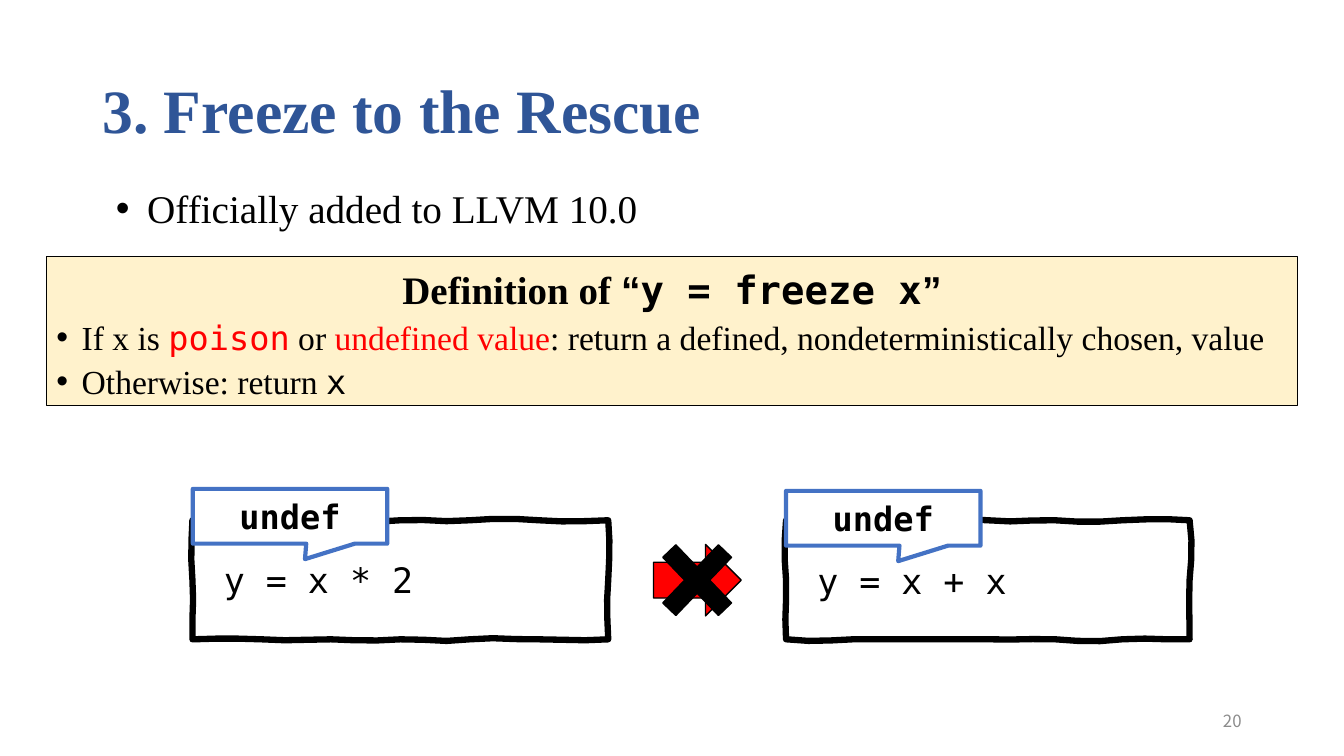
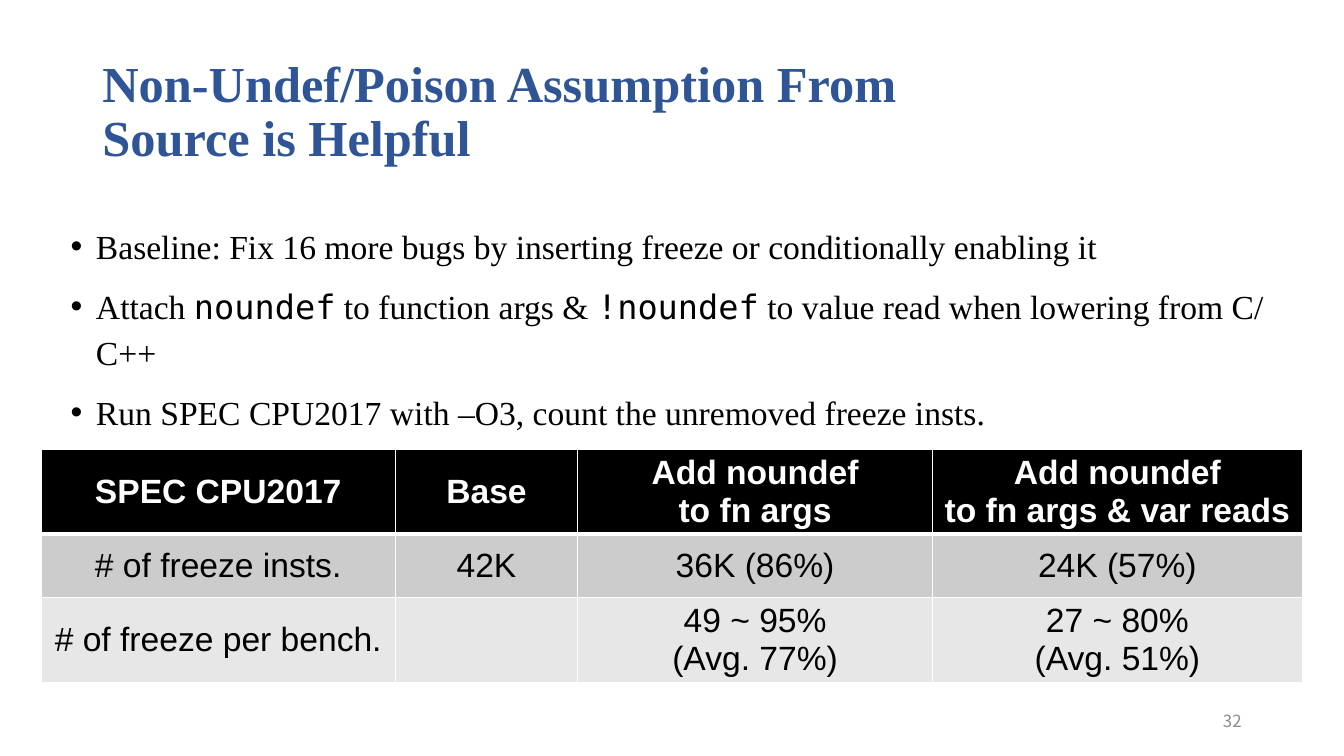
import dataclasses

import lxml.etree
import pptx
import pptx.dml.color
import pptx.enum.shapes
import pptx.enum.text
import pptx.oxml
import pptx.oxml.ns
import pptx.util

Cm = pptx.util.Cm
Pt = pptx.util.Pt
SHAPE = pptx.enum.shapes.MSO_SHAPE
ALIGN = pptx.enum.text.PP_ALIGN
ANCHOR = pptx.enum.text.MSO_ANCHOR
qn = pptx.oxml.ns.qn


@dataclasses.dataclass(frozen=True)
class Theme:
    serif: str = "Times New Roman"
    sans: str = "Arial"
    mono: str = "DejaVu Sans Mono"
    number_font: str = "Noto Sans CJK KR"
    title: str = "2F5597"
    ink: str = "000000"
    paper: str = "FFFFFF"
    alert: str = "FF0000"
    callout: str = "4472C4"
    definition: str = "FFF2CC"
    number: str = "8C8C8C"
    table_rows: tuple = ("000000", "CCCCCC", "E7E7E7")
    title_size: float = 44
    long_title_size: float = 36
    lead_size: float = 28
    heading_size: float = 27.8
    code_size: float = 25
    body_size: float = 24
    number_size: float = 12


THEME = Theme()

# Bulge of each span of a hand-drawn outline, in hundredths of an inch:
# top, right, bottom and left edge, clockwise.
LEFT_SKETCH = (
    ((-2, -3), (3, 0), (0, 3), (-2, 3), (-2, -2), (2, 1)),
    ((2, 1), (-2, -1)),
    ((2, 0), (1, -3), (4, -1), (2, 1), (0, 2), (-1, -1)),
    ((-1, 2), (-2, -1)),
)
RIGHT_SKETCH = (
    ((3, 3), (-2, -1), (1, -3), (3, -1), (2, 2), (-1, -2)),
    ((3, 2), (-1, 0)),
    ((1, -2), (3, 2), (-1, 1), (0, 0), (0, 0), (1, 3)),
    ((-2, 1), (-2, -2)),
)


def rgb(value):
    return pptx.dml.color.RGBColor.from_string(value)


def style_font(font, name=None, size=None, color=None, bold=None):
    if name:
        font.name = name
    if size:
        font.size = Pt(size)
    if color:
        font.color.rgb = rgb(color)
    if bold is not None:
        font.bold = bold


def add_bullet(paragraph, indent):
    properties = paragraph._p.get_or_add_pPr()
    properties.set("marL", str(Cm(indent)))
    properties.set("indent", str(-Cm(indent)))
    typeface = lxml.etree.SubElement(properties, qn("a:buFont"))
    typeface.set("typeface", THEME.sans)
    lxml.etree.SubElement(properties, qn("a:buChar")).set("char", "•")


def write_paragraph(frame, content, name, size, color=THEME.ink, bold=False,
                    align=ALIGN.LEFT, spacing=None, before=0, indent=None):
    """Add a paragraph; content is a string or (text, font overrides) pairs."""
    paragraph = frame.paragraphs[0]
    if paragraph.runs:
        paragraph = frame.add_paragraph()
        if before:
            paragraph.space_before = Pt(before)
    if indent:
        add_bullet(paragraph, indent)
    paragraph.alignment = align
    if spacing:
        paragraph.line_spacing = spacing
    style_font(paragraph.font, name, size, color, bold)
    if isinstance(content, str):
        paragraph.text = content
        return
    for text, overrides in content:
        if text == "\v":
            paragraph.add_line_break()
            continue
        run = paragraph.add_run()
        run.text = text
        style_font(run.font, **overrides)


def add_textbox(slide, left, top, width, height, anchor=ANCHOR.TOP, wrap=True):
    frame = slide.shapes.add_textbox(
        Cm(left), Cm(top), Cm(width), Cm(height)).text_frame
    frame.word_wrap = wrap
    frame.vertical_anchor = anchor
    return frame


def paint(shape, fill, line, line_width):
    shape.shadow.inherit = False
    if fill:
        shape.fill.solid()
        shape.fill.fore_color.rgb = rgb(fill)
    else:
        shape.fill.background()
    shape.line.color.rgb = rgb(line)
    shape.line.width = Pt(line_width)


def add_preset(slide, kind, left, top, width, height, fill, line=THEME.ink,
               line_width=1, adjustments=()):
    shape = slide.shapes.add_shape(
        kind, Cm(left), Cm(top), Cm(width), Cm(height))
    for index, value in enumerate(adjustments):
        shape.adjustments[index] = value
    paint(shape, fill, line, line_width)
    return shape


def sketch_points(left, top, width, height, edges, steps=3):
    """Trace a rectangle whose edges bulge as cubic curves."""
    corners = ((left, top), (left + width, top),
               (left + width, top + height), (left, top + height))
    points = []
    for index, spans in enumerate(edges):
        x0, y0 = corners[index]
        x1, y1 = corners[(index + 1) % 4]
        for span, (first, second) in enumerate(spans):
            for step in range(steps):
                t = step / steps
                along = (span + t) / len(spans)
                bulge = 3 * t * (1 - t) * (first * (1 - t) + second * t)
                offset = bulge * 0.0254
                x, y = x0 + (x1 - x0) * along, y0 + (y1 - y0) * along
                if index % 2:
                    x += offset
                else:
                    y += offset
                points.append((Cm(x), Cm(y)))
    return points


def add_code_box(slide, left, width, edges, code):
    start, *rest = sketch_points(left, 13.11, width, 3, edges)
    builder = slide.shapes.build_freeform(*start)
    builder.add_line_segments(rest, close=True)
    box = builder.convert_to_shape()
    paint(box, None, THEME.ink, 4.5)
    frame = box.text_frame
    frame.word_wrap = True
    frame.margin_left = Cm(0.82)
    frame.vertical_anchor = ANCHOR.MIDDLE
    write_paragraph(frame, code, THEME.mono, THEME.code_size)


def add_undef_callout(slide, left, top):
    callout = add_preset(slide, SHAPE.RECTANGULAR_CALLOUT, left, top, 4.9, 1.38,
                         THEME.paper, THEME.callout, 3, (0.077, 0.783))
    callout.text_frame.vertical_anchor = ANCHOR.MIDDLE
    write_paragraph(callout.text_frame, "undef", THEME.mono, THEME.body_size,
                    bold=True, align=ALIGN.CENTER)


def add_slide(deck, title, number, title_size):
    slide = deck.slides.add_slide(deck.slide_layouts[6])
    write_paragraph(add_textbox(slide, 2.33, 1.02, 29.21, 3.68, ANCHOR.MIDDLE),
                    title, THEME.serif, title_size, THEME.title, True,
                    spacing=0.9)
    write_paragraph(add_textbox(slide, 23.92, 17.65, 7.62, 1.02, ANCHOR.MIDDLE),
                    str(number), THEME.number_font, THEME.number_size,
                    THEME.number, align=ALIGN.RIGHT)
    return slide


def set_borders(cell, widths):
    properties = cell._tc.get_or_add_tcPr()
    for side, width in zip("LRTB", widths):
        line = lxml.etree.SubElement(properties, qn(f"a:ln{side}"))
        line.set("w", str(Pt(width)))
        fill = lxml.etree.SubElement(line, qn("a:solidFill"))
        lxml.etree.SubElement(fill, qn("a:srgbClr")).set("val", THEME.paper)


def add_table(slide, left, top, column_widths, row_heights, rows):
    table = slide.shapes.add_table(
        len(rows), len(column_widths), Cm(left), Cm(top),
        Cm(sum(column_widths)), Cm(sum(row_heights))).table
    table.horz_banding = False
    for column, width in zip(table.columns, column_widths):
        column.width = Cm(width)
    for row, height in zip(table.rows, row_heights):
        row.height = Cm(height)
    for row_index, texts in enumerate(rows):
        header = row_index == 0
        borders = (1, 1, 3 if row_index == 1 else 1, 3 if header else 1)
        for column_index, text in enumerate(texts):
            cell = table.cell(row_index, column_index)
            set_borders(cell, borders)
            cell.fill.solid()
            cell.fill.fore_color.rgb = rgb(THEME.table_rows[row_index])
            cell.vertical_anchor = ANCHOR.MIDDLE
            cell.margin_top = cell.margin_bottom = Cm(0.04)
            for line in text.split("\n"):
                write_paragraph(cell.text_frame, line, THEME.sans,
                                THEME.body_size,
                                THEME.paper if header else THEME.ink,
                                header, ALIGN.CENTER)


def add_definition(slide):
    box = add_preset(slide, SHAPE.RECTANGLE, 1.17, 6.46, 31.53, 3.76,
                     THEME.definition, line_width=0.75)
    frame = box.text_frame
    frame.word_wrap = True
    frame.vertical_anchor = ANCHOR.TOP
    sans, mono = {"name": THEME.sans}, {"name": THEME.mono}
    alert = {"color": THEME.alert}
    write_paragraph(
        frame,
        [("Definition of ", {}), ("“", sans), ("y = freeze x", mono), ("”", sans)],
        THEME.serif, THEME.heading_size, bold=True, align=ALIGN.CENTER,
        spacing=1.1)
    rules = (
        [("If x is ", {}), ("poison", {**mono, **alert}), (" or ", {}),
         ("undefined value", alert),
         (": return a defined, nondeterministically chosen, value", {})],
        [("Otherwise: return ", {}), ("x", mono)],
    )
    for rule in rules:
        write_paragraph(frame, rule, THEME.serif, THEME.body_size,
                        spacing=1.1, indent=0.64)


def build_freeze_slide(deck):
    slide = add_slide(deck, "3. Freeze to the Rescue", 20, THEME.title_size)
    add_code_box(slide, 4.85, 10.48, LEFT_SKETCH, "y = x * 2")
    add_code_box(slide, 19.81, 10.17, RIGHT_SKETCH, "y = x + x")
    add_preset(slide, SHAPE.RIGHT_ARROW, 16.47, 13.72, 2.21, 1.8, THEME.alert)
    add_undef_callout(slide, 4.86, 12.32)
    add_definition(slide)
    write_paragraph(add_textbox(slide, 2.67, 4.52, 13.79, 1.45, wrap=False),
                    "Officially added to LLVM 10.0", THEME.serif,
                    THEME.lead_size, indent=0.79)
    add_preset(slide, SHAPE.MATH_MULTIPLY, 16.22, 13.21, 2.7, 2.82, THEME.ink,
               adjustments=(0.169,))
    add_undef_callout(slide, 19.81, 12.37)


def build_noundef_slide(deck):
    slide = add_slide(
        deck, "Non-Undef/Poison Assumption From\vSource is Helpful", 32,
        THEME.long_title_size)
    mono = {"name": THEME.mono}
    points = (
        "Baseline: Fix 16 more bugs by inserting freeze or conditionally enabling it",
        [("Attach ", {}), ("noundef", mono), (" to function args & ", {}),
         ("!noundef", mono),
         (" to value read when lowering from C/", {}), ("\v", {}), ("C++", {})],
        "Run SPEC CPU2017 with –O3, count the unremoved freeze insts.",
    )
    body = add_textbox(slide, 1.53, 5.42, 31.55, 5.8)
    for point in points:
        write_paragraph(body, point, THEME.serif, THEME.body_size,
                        spacing=1.14, before=10, indent=0.64)
    add_table(slide, 1.04, 11.33, (8.92, 4.6, 8.94, 9.32), (2.13, 1.6, 2.13), (
        ("SPEC CPU2017", "Base", "Add noundef\vto fn args",
         "Add noundef\vto fn args & var reads"),
        ("# of freeze insts.", "42K", "36K (86%)", "24K (57%)"),
        ("# of freeze per bench.", "", "49 ~ 95%\n(Avg. 77%)",
         "27 ~ 80%\n(Avg. 51%)"),
    ))


def main():
    deck = pptx.Presentation()
    deck.slide_width, deck.slide_height = Cm(33.87), Cm(19.05)
    build_freeze_slide(deck)
    build_noundef_slide(deck)
    deck.save("out.pptx")


if __name__ == "__main__":
    main()
